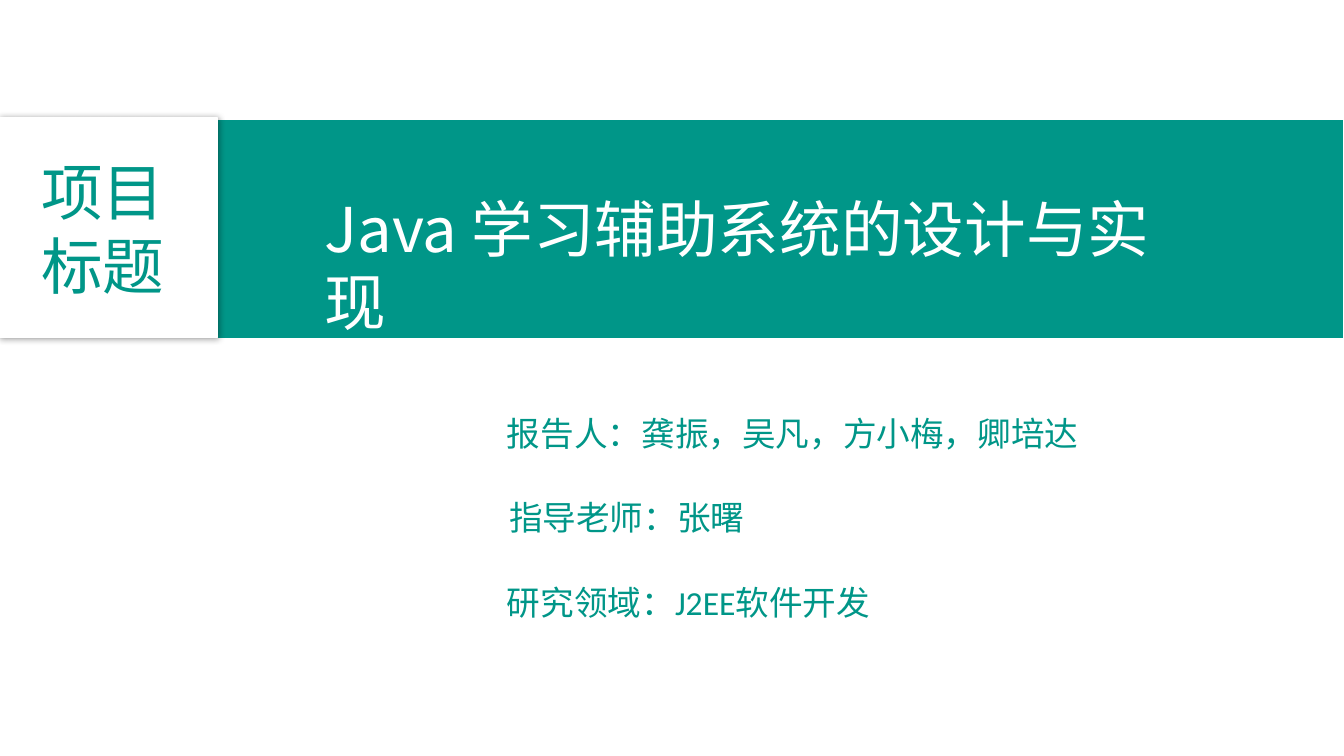
from lxml.etree import SubElement
from pptx import Presentation
from pptx.dml.color import RGBColor
from pptx.enum.shapes import MSO_SHAPE
from pptx.oxml.ns import qn
from pptx.util import Inches, Pt

COLORS = {"teal": "009688", "white": "FFFFFF", "shadow": "000000"}
CJK_FONT = "Noto Sans CJK SC"


def add_panel(slide, box, color):
    panel = slide.shapes.add_shape(MSO_SHAPE.RECTANGLE, *map(Inches, box))
    panel.shadow.inherit = False
    panel.fill.solid()
    panel.fill.fore_color.rgb = RGBColor.from_string(COLORS[color])
    panel.line.color.rgb = RGBColor.from_string(COLORS["white"])
    panel.line.width = Pt(1)
    return panel


def add_glow_shadow(panel):
    effects = panel._element.spPr.find(qn("a:effectLst"))
    shadow = SubElement(effects, qn("a:outerShdw"), blurRad=str(Pt(5)), dist="0", dir="0",
                        algn="ctr", rotWithShape="0")
    color = SubElement(shadow, qn("a:srgbClr"), val=COLORS["shadow"])
    SubElement(color, qn("a:alpha"), val="40000")


def add_text(slide, box, text, size, color, font="Calibri"):
    frame = slide.shapes.add_textbox(*map(Inches, box)).text_frame
    frame.word_wrap = True
    paragraph = frame.paragraphs[0]
    run = paragraph.add_run()
    run.text = text
    run.font.language_id = None
    paragraph.font.size = Pt(size)
    paragraph.font.name = font
    paragraph.font.color.rgb = RGBColor.from_string(COLORS[color])
    SubElement(run._r.get_or_add_rPr(), qn("a:ea"), typeface=CJK_FONT)


def add_title_band(slide, left, top, width, height):
    label_width = 2.16
    add_panel(slide, (left, top, width, height), "teal")
    add_text(slide, (left + 3.12, top + 0.66, 8.82, 1.16),
             "Java 学习辅助系统的设计与实现", 44, "white", CJK_FONT)
    label = add_panel(slide, (left, top - 0.01, label_width, height), "white")
    add_glow_shadow(label)
    add_text(slide, (left + 0.31, top + 0.3, 1.53, 1.58), "项目标题", 44, "teal")


def add_details(slide, left, top, width, row_pitch):
    details = [
        ("报告人：龚振，吴凡，方小梅，卿培达", 0),
        ("指导老师：张曙", 0.02),
        ("研究领域：J2EE软件开发", 0),
    ]
    for row, (text, indent) in enumerate(details):
        box = (left + indent, top + row * row_pitch, width, 0.5)
        add_text(slide, box, text, 24, "teal")


def main():
    presentation = Presentation()
    presentation.slide_width = Inches(13.33)
    presentation.slide_height = Inches(7.5)
    slide = presentation.slides.add_slide(presentation.slide_layouts[6])
    add_title_band(slide, 0, 1.18, 13.33, 2.18)
    add_details(slide, 4.93, 4.05, 5.98, 0.835)
    presentation.save("out.pptx")


if __name__ == "__main__":
    main()
